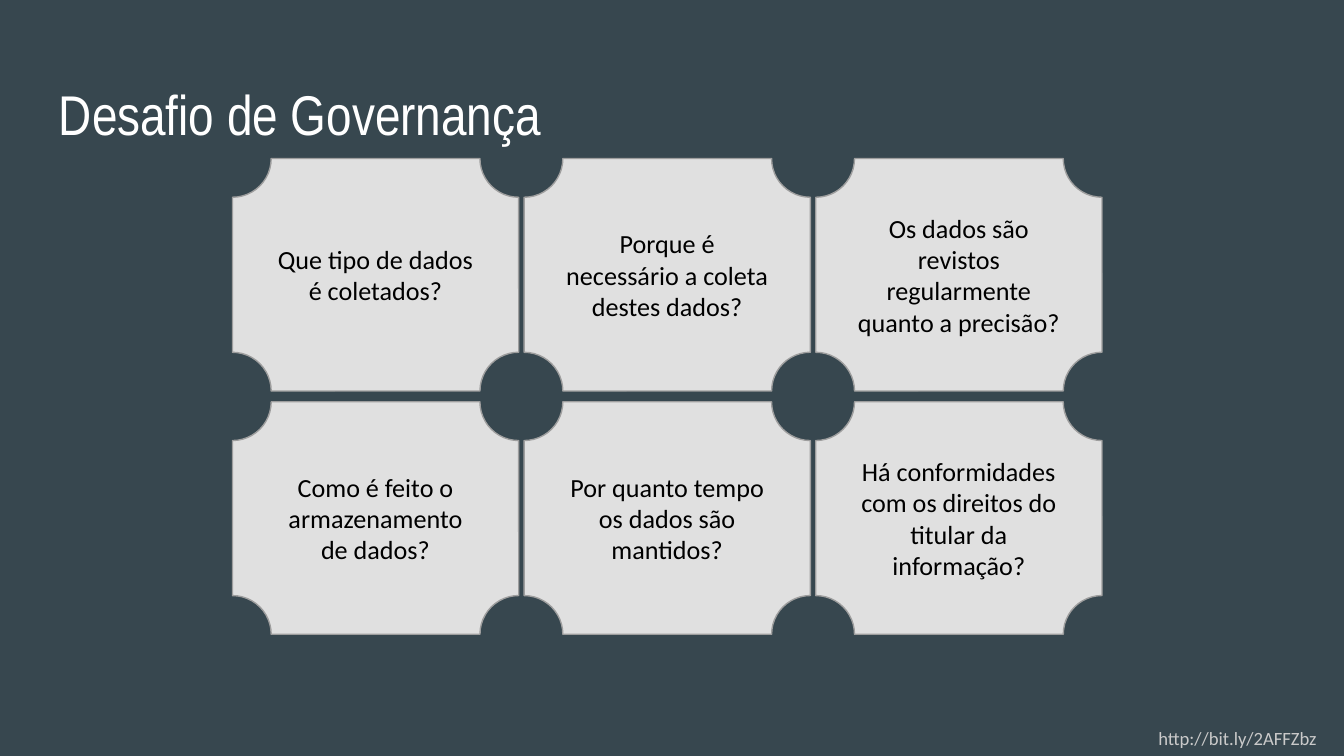
from pptx import Presentation
from pptx.dml.color import RGBColor
from pptx.enum.shapes import MSO_SHAPE
from pptx.enum.text import MSO_ANCHOR, PP_ALIGN
from pptx.util import Inches, Pt

PLAQUE = MSO_SHAPE.PLAQUE
TOP, MIDDLE = MSO_ANCHOR.TOP, MSO_ANCHOR.MIDDLE
LEFT, CENTER = PP_ALIGN.LEFT, PP_ALIGN.CENTER

SLATE = RGBColor(0x37, 0x47, 0x4F)
CARD_FILL = RGBColor(0xE0, 0xE0, 0xE0)
CARD_LINE = RGBColor(0x9E, 0x9E, 0x9E)
WHITE = RGBColor(0xFF, 0xFF, 0xFF)
BLACK = RGBColor(0x00, 0x00, 0x00)
PALE_GRAY = RGBColor(0xCA, 0xCA, 0xCA)

PAGE_WIDTH = Inches(10)
PAGE_HEIGHT = PAGE_WIDTH * 9 // 16

COLUMNS, ROWS = 3, 2
COLUMN_GAP, ROW_GAP = 0.04, 0.08
QUESTIONS = [
    "Que tipo de dados é coletados?",
    "Porque é necessário a coleta destes dados?",
    "Os dados são revistos regularmente quanto a precisão?",
    "Como é feito o armazenamento de dados?",
    "Por quanto tempo os dados são mantidos?",
    "Há conformidades com os direitos do titular da informação?",
]


def write_text(shape, text, font_name, size, color, align=LEFT, anchor=TOP):
    """Fill a shape with one paragraph and return that paragraph."""
    frame = shape.text_frame
    frame.word_wrap = True
    frame.vertical_anchor = anchor
    frame.margin_left = frame.margin_right = Inches(0.1)
    frame.margin_top = frame.margin_bottom = Inches(0.1)
    para = frame.paragraphs[0]
    para.text = text
    para.alignment = align
    para.font.name = font_name
    para.font.size = Pt(size)
    para.font.color.rgb = color
    return para


def add_title(page, box):
    title = page.shapes.add_textbox(*map(Inches, box))
    write_text(title, "Desafio de Governança", "Arial Narrow", 30, WHITE)


def add_source_link(page, box):
    link = page.shapes.add_textbox(*map(Inches, box))
    para = write_text(link, "http://bit.ly/2AFFZbz", "Calibri", 10, PALE_GRAY)
    para.line_spacing = 1.15
    para.space_after = Pt(16)


def add_question_grid(page, box):
    left, top, width, height = box
    card_width = (width - (COLUMNS - 1) * COLUMN_GAP) / COLUMNS
    card_height = (height - (ROWS - 1) * ROW_GAP) / ROWS
    for index, question in enumerate(QUESTIONS):
        row, column = divmod(index, COLUMNS)
        card = page.shapes.add_shape(
            PLAQUE,
            Inches(left + column * (card_width + COLUMN_GAP)),
            Inches(top + row * (card_height + ROW_GAP)),
            Inches(card_width),
            Inches(card_height),
        )
        card.shadow.inherit = False
        card.fill.solid()
        card.fill.fore_color.rgb = CARD_FILL
        card.line.color.rgb = CARD_LINE
        card.line.width = Pt(0.75)
        write_text(card, question, "Calibri", 14, BLACK, CENTER, MIDDLE)


def main():
    deck = Presentation()
    deck.slide_width, deck.slide_height = PAGE_WIDTH, PAGE_HEIGHT
    page = deck.slides.add_slide(deck.slide_layouts[6])
    page.background.fill.solid()
    page.background.fill.fore_color.rgb = SLATE

    # Heading, cards and footer
    add_title(page, (0.34, 0.49, 9.32, 0.63))
    add_question_grid(page, (1.73, 1.18, 6.47, 3.54))
    add_source_link(page, (8.52, 5.29, 1.48, 0.34))

    deck.save("out.pptx")


if __name__ == "__main__":
    main()
